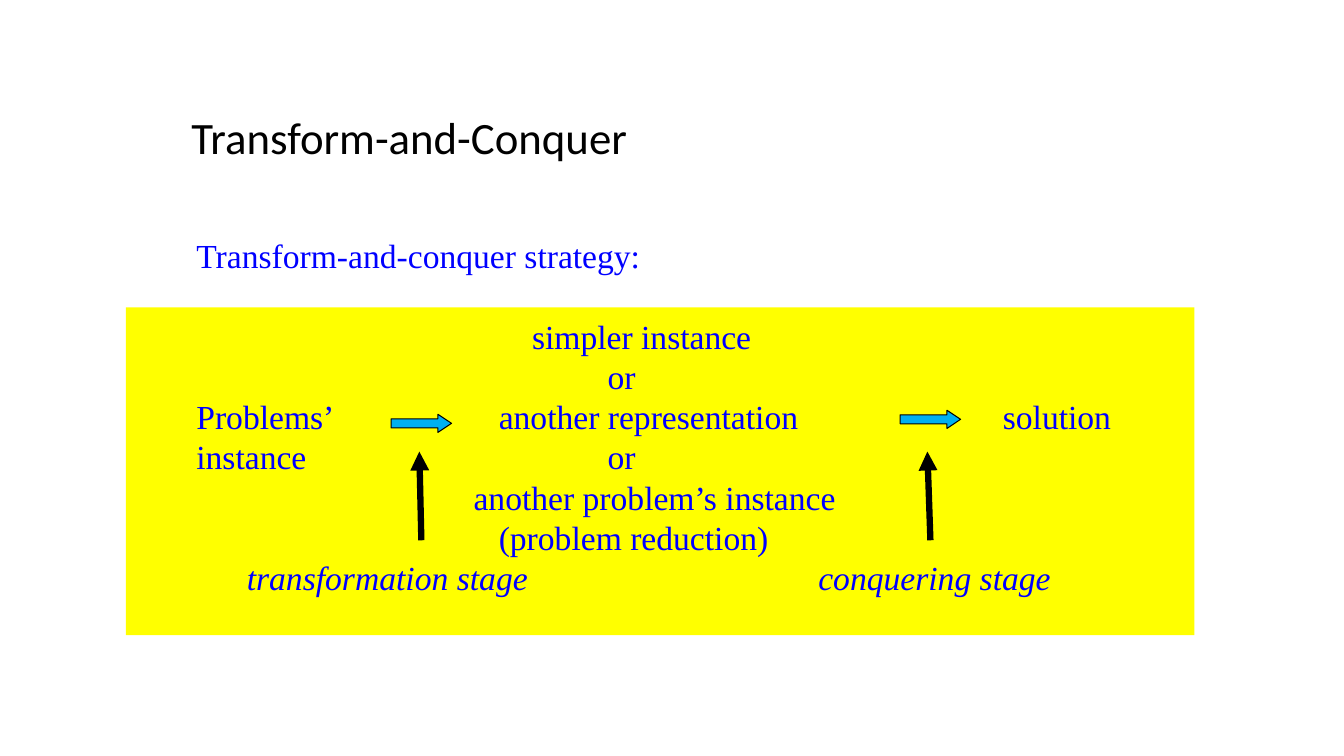
from dataclasses import dataclass

from lxml import etree
from pptx import Presentation
from pptx import util as u
from pptx.dml.color import RGBColor
from pptx.enum import shapes, text
from pptx.oxml.ns import qn

# The grid has ten columns and ten rows to the inch.
CELL = 0.1
COLUMNS, ROWS = 133.33, 75
BLACK, BLUE, YELLOW, SKY = "000000", "0000FF", "FFFF00", "00B0F0"
LINE_PITCH = 28.8


@dataclass
class Area:
    column: float
    row: float
    columns: float
    rows: float


@dataclass
class Label:
    words: str
    tab: float = 0
    italic: bool = False


@dataclass
class Step:
    """A block arrow and the pointer that rises to it from its stage name."""
    block: Area
    tail_column: float
    tip_column: float


PANEL = Area(12.5, 30.5, 106, 32.5)
TITLE = Area(18, 10.4, 47.5, 6.4)
STRATEGY = Area(18.5, 22.8, 99.7, 46.8)
POINTER_TAIL_ROW, POINTER_TIP_ROW = 53.6, 44.8
STEPS = [
    Step(Area(38.8, 41.1, 6, 1.8), 41.8, 41.6),
    Step(Area(89.3, 40.7, 6, 1.8), 92.3, 92),
]
STRATEGY_LINES = [
    [Label("Transform-and-conquer strategy:")],
    [Label("simpler instance", 33.3)],
    [Label("or", 40.8)],
    [Label("Problems’"), Label("another representation", 30), Label("solution", 80)],
    [Label("instance"), Label("or", 40.8)],
    [Label("another problem’s instance", 27.5)],
    [Label("(problem reduction)", 30)],
    [Label("transformation stage", 5, True), Label("conquering stage", 61.7, True)],
]


def cells(count: float) -> u.Length:
    return u.Inches(count * CELL)


def bounds(area: Area) -> list:
    return [cells(n) for n in (area.column, area.row, area.columns, area.rows)]


def color(hex_value: str) -> RGBColor:
    return RGBColor.from_string(hex_value)


def add_block(slide, kind, area: Area, fill: str, outline: str = ""):
    shape = slide.shapes.add_shape(kind, *bounds(area))
    shape.shadow.inherit = False
    shape.fill.solid()
    shape.fill.fore_color.rgb = color(fill)
    if outline:
        shape.line.color.rgb = color(outline)
        shape.line.width = u.Pt(0.75)
    else:
        shape.line.fill.background()
    return shape


def add_pointer(slide, step: Step) -> None:
    connector = slide.shapes.add_connector(
        shapes.MSO_CONNECTOR.STRAIGHT,
        cells(step.tail_column), cells(POINTER_TAIL_ROW),
        cells(step.tip_column), cells(POINTER_TIP_ROW),
    )
    connector.line.color.rgb = color(BLACK)
    connector.line.width = u.Pt(4.5)
    etree.SubElement(connector.line._get_or_add_ln(), qn("a:tailEnd"), type="triangle")
    etree.SubElement(connector._element.spPr, qn("a:effectLst"))


def add_step(slide, step: Step) -> None:
    block = add_block(slide, shapes.MSO_SHAPE.RIGHT_ARROW, step.block, SKY, BLACK)
    block.adjustments[0] = 0.5
    block.adjustments[1] = 0.75
    add_pointer(slide, step)


def add_run(paragraph, words: str, font: str, size: float, hex_value: str):
    run = paragraph.add_run()
    run.text = words
    run.font.name = font
    run.font.size = u.Pt(size)
    run.font.color.rgb = color(hex_value)
    return run


def set_tabs(paragraph, labels: list[Label]) -> None:
    stops = [label.tab for label in labels if label.tab]
    if stops:
        tab_list = etree.SubElement(paragraph._p.get_or_add_pPr(), qn("a:tabLst"))
        for stop in stops:
            etree.SubElement(tab_list, qn("a:tab"), pos=str(int(cells(stop))), algn="l")


def add_strategy(slide) -> None:
    frame = slide.shapes.add_textbox(*bounds(STRATEGY)).text_frame
    frame.word_wrap = True
    for index, labels in enumerate(STRATEGY_LINES):
        paragraph = frame.add_paragraph() if index else frame.paragraphs[0]
        paragraph.line_spacing = u.Pt(LINE_PITCH)
        if index == 1:
            paragraph.space_before = u.Pt(LINE_PITCH)
        set_tabs(paragraph, labels)
        for label in labels:
            words = "\t" + label.words if label.tab else label.words
            run = add_run(paragraph, words, "Times New Roman", 24, BLUE)
            run.font.italic = label.italic


def add_title(slide) -> None:
    frame = slide.shapes.add_textbox(*bounds(TITLE)).text_frame
    frame.word_wrap = False
    frame.auto_size = text.MSO_AUTO_SIZE.SHAPE_TO_FIT_TEXT
    add_run(frame.paragraphs[0], "Transform-and-Conquer", "Calibri", 32, BLACK)


def main() -> None:
    presentation = Presentation()
    presentation.slide_width = cells(COLUMNS)
    presentation.slide_height = cells(ROWS)
    slide = presentation.slides.add_slide(presentation.slide_layouts[6])
    add_block(slide, shapes.MSO_SHAPE.RECTANGLE, PANEL, YELLOW)
    add_strategy(slide)
    for step in STEPS:
        add_step(slide, step)
    add_title(slide)
    presentation.save("out.pptx")


if __name__ == "__main__":
    main()
